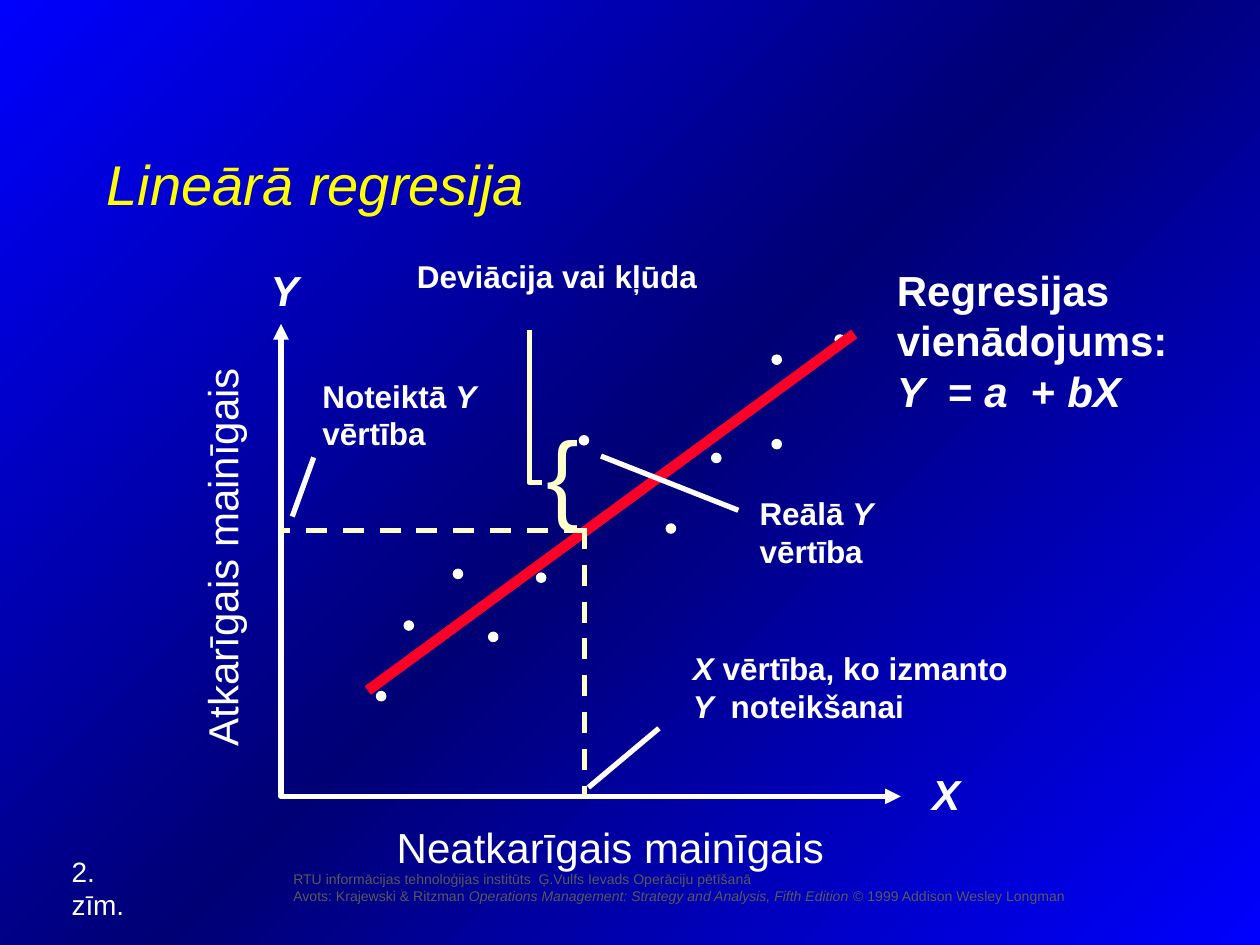
from copy import deepcopy

from pptx import Presentation
from pptx import util as u
from pptx.dml.color import RGBColor
from pptx.enum import dml, shapes, text
from pptx.oxml.ns import qn
from lxml import etree

COLORS = {
    "bright": "0000FF",
    "deep": "000075",
    "white": "FFFFFF",
    "cream": "FFFFCC",
    "red": "FC0128",
    "yellow": "FFFF00",
    "gray": "595959",
}


class RegressionPage:
    font = "Arial"
    dot_size = 0.07

    def __init__(self, deck):
        self.page = deck.slides.add_slide(deck.slide_layouts[6])

    def color(self, name):
        return RGBColor.from_string(COLORS[name])

    def background(self, names, angle):
        fill = self.page.background.fill
        fill.gradient()
        stop_list = self.page.element.find(".//" + qn("a:gsLst"))
        stop_list.append(deepcopy(stop_list[0]))
        for index, (stop, name) in enumerate(zip(fill.gradient_stops, names)):
            stop.color.rgb = self.color(name)
            stop.position = index / (len(names) - 1)
        fill.gradient_angle = angle

    def label(self, left, top, width, height, lines, size, color="white",
              bold=False, wrap=False, rotation=0, **frame_format):
        box = self.page.shapes.add_textbox(*map(u.Inches, (left, top, width, height)))
        box.rotation = rotation
        frame = box.text_frame
        settings = {"word_wrap": wrap, "auto_size": text.MSO_AUTO_SIZE.SHAPE_TO_FIT_TEXT}
        settings.update(frame_format)
        for name, value in settings.items():
            setattr(frame, name, value)
        for index, line in enumerate(lines):
            para = frame.add_paragraph() if index else frame.paragraphs[0]
            for order, words in enumerate(line.split("*")):
                if words:
                    self.span(para, words, size, color, bold, order % 2 == 1)
        return box

    def span(self, para, words, size, color, bold, italic):
        span = para.add_run()
        span.text = words
        values = {"name": self.font, "size": u.Pt(size), "bold": bold, "italic": italic}
        for name, value in values.items():
            setattr(span.font, name, value)
        span.font.color.rgb = self.color(color)

    def stroke(self, line, color, width):
        line.color.rgb = self.color(color)
        line.width = u.Pt(width)

    def line(self, start, end, color="white", width=3, dashed=False):
        connector = self.page.shapes.add_connector(
            shapes.MSO_CONNECTOR.STRAIGHT, *map(u.Inches, start + end))
        self.stroke(connector.line, color, width)
        if dashed:
            connector.line.dash_style = dml.MSO_LINE.DASH
        etree.SubElement(connector.element.spPr, qn("a:effectLst"))

    def polyline(self, points, color="white", width=3, arrows=False):
        start, *rest = [tuple(map(u.Inches, point)) for point in points]
        builder = self.page.shapes.build_freeform(*start)
        builder.add_line_segments(rest, close=False)
        outline = builder.convert_to_shape()
        outline.shadow.inherit = False
        outline.fill.background()
        self.stroke(outline.line, color, width)
        if arrows:
            for end in ("a:headEnd", "a:tailEnd"):
                etree.SubElement(outline.element.spPr.find(qn("a:ln")), qn(end),
                                 type="triangle")

    def dot(self, left, top):
        dot = self.page.shapes.add_shape(
            shapes.MSO_SHAPE.OVAL,
            *map(u.Inches, (left, top, self.dot_size, self.dot_size)))
        dot.shadow.inherit = False
        dot.fill.solid()
        dot.fill.fore_color.rgb = self.color("white")
        self.stroke(dot.line, "white", 1)


def main():
    deck = Presentation()
    deck.slide_width, deck.slide_height = u.Inches(10), u.Inches(7.5)
    page = RegressionPage(deck)
    page.background(("bright", "deep", "bright"), 135)

    page.label(2.23, 6.86, 7.77, 0.37, [
        "RTU informācijas tehnoloģijas institūts  Ģ.Vulfs Ievads Operāciju pētīšanā",
        "Avots: Krajewski & Ritzman *Operations Management: Strategy and Analysis, "
        "Fifth Edition* © 1999 Addison Wesley Longman",
    ], 8, "gray", wrap=True)

    page.polyline([(2.23, 2.57), (2.23, 6.32), (7.15, 6.32)], arrows=True)
    page.label(0.16, 4.17, 3.2, 0.5, ["Atkarīgais mainīgais"], 24, rotation=270)
    page.label(3.05, 6.47, 3.59, 0.5, ["Neatkarīgais mainīgais"], 24)
    page.label(7.3, 6.05, 0.42, 0.5, ["*X*"], 24, bold=True)
    page.label(2.05, 2.05, 0.42, 0.5, ["*Y*"], 24, bold=True)

    observations = [
        (2.99, 5.49), (3.21, 4.93), (3.6, 4.52), (4.26, 4.55), (6.63, 2.66), (6.13, 2.82),
        (3.88, 5.02), (4.6, 3.46), (5.29, 4.16), (5.65, 3.6), (6.13, 3.49),
    ]
    for left, top in observations:
        page.dot(left, top)
    page.line((2.92, 5.48), (6.78, 2.65), "red", 6)

    page.label(5.93, 3.87, 1.17, 0.7, ["Reālā *Y*", "vērtība"], 18, bold=True)
    page.label(5.4, 5.1, 2.7, 0.7, ["*X *vērtība, ko izmanto", "*Y * noteikšanai"], 18,
               bold=True)
    page.line((5.86, 4.05), (4.77, 3.62))
    page.line((4.64, 4.19), (4.64, 6.32), "cream", dashed=True)
    page.line((5.23, 5.78), (4.67, 6.25))
    page.line((4.64, 4.21), (2.22, 4.21), "cream", dashed=True)
    page.line((2.49, 3.63), (2.32, 4.1))

    deviation = page.label(3.21, 1.99, 2.42, 0.4, ["Deviācija vai kļūda"], 18, bold=True)
    deviation.text_frame.paragraphs[0].alignment = text.PP_ALIGN.CENTER
    page.label(4.24, 3.23, 0.46, 1.03, ["{"], 56, "cream")
    page.polyline([(4.3, 3.83), (4.2, 3.83), (4.2, 2.62)], "cream")

    page.label(7.02, 2.05, 2.44, 1.3,
               ["Regresijas", "vienādojums:", "*Y*  = *a*  + *bX*"], 24, bold=True)
    page.label(0.47, 6.73, 0.86, 0.37, ["2. zīm."], 16)
    page.label(0.75, 0.83, 6, 1.25, ["*Lineārā regresija*"], 32, "yellow", wrap=True,
               auto_size=text.MSO_AUTO_SIZE.NONE,
               vertical_anchor=text.MSO_ANCHOR.MIDDLE)
    page.label(2.46, 2.94, 1.49, 0.7, ["Noteiktā *Y*", "vērtība"], 18, bold=True)

    deck.save("out.pptx")


if __name__ == "__main__":
    main()
